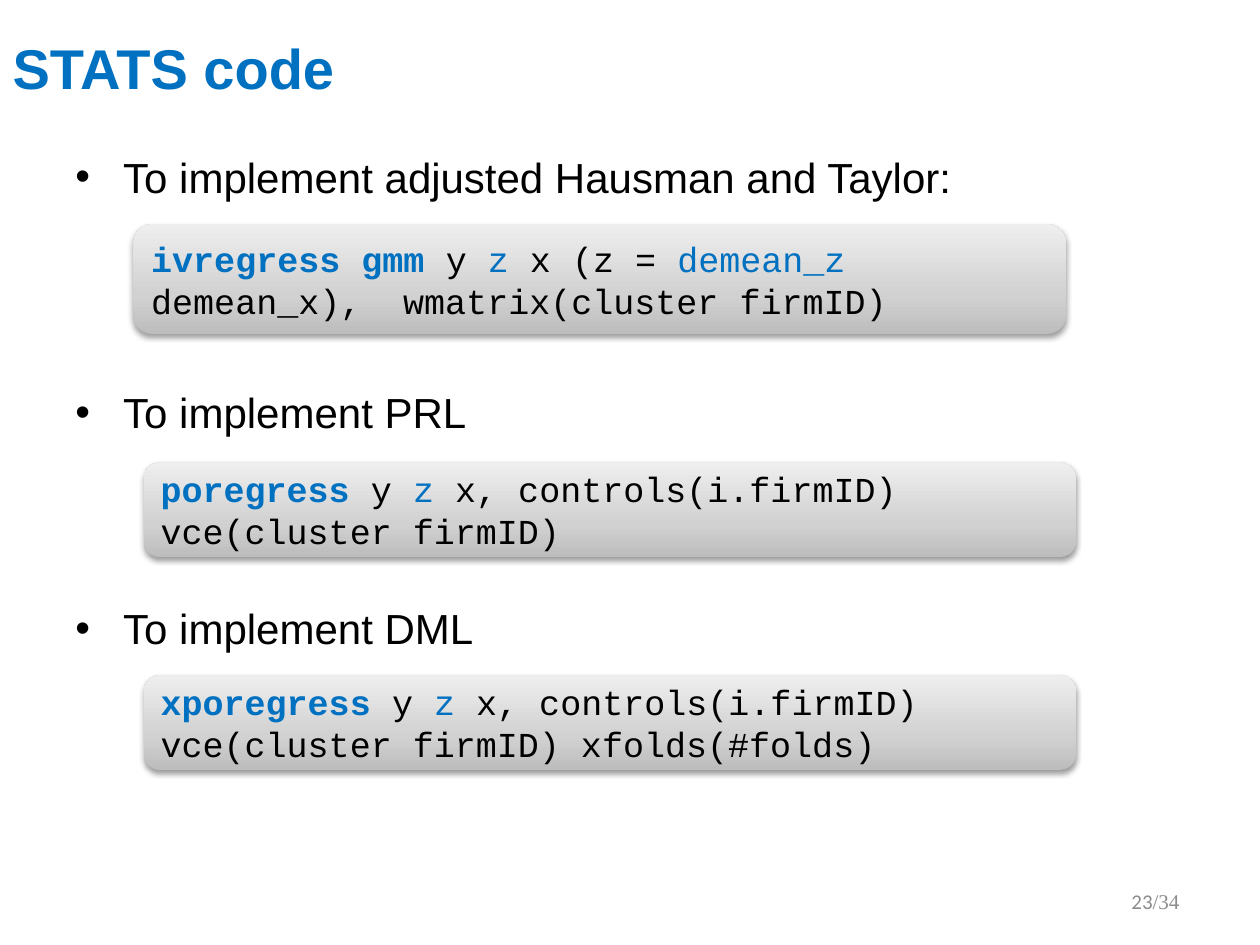
from pptx import Presentation
from pptx.dml.color import RGBColor
from pptx.enum.shapes import MSO_SHAPE
from pptx.enum.text import MSO_ANCHOR, PP_ALIGN
from pptx.oxml import parse_xml
from pptx.oxml.ns import nsdecls
from pptx.util import Inches, Pt

ROUND = MSO_SHAPE.ROUNDED_RECTANGLE
MIDDLE, TOP = MSO_ANCHOR.MIDDLE, MSO_ANCHOR.TOP
LEFT, RIGHT = PP_ALIGN.LEFT, PP_ALIGN.RIGHT

WIDE, HIGH = 10, 7.5
COLS, ROWS = 100, 75
BLUE, BLACK, GREY = "0070C0", "000000", "8C8C8C"
STOPS = (0, "BDBDBD"), (35, "D1D1D1"), (100, "EEEEEE")


def paint(code):
    return RGBColor.from_string(code)


def write(para, text, font="Arial", size=24, color=BLACK, bold=False):
    run = para.add_run()
    run.text = text
    run.font.name = font
    run.font.size = Pt(size)
    run.font.color.rgb = paint(color)
    run.font.bold = bold


def place(shape, col, row, cols, rows):
    shape.left, shape.width = (Inches(n * WIDE / COLS) for n in (col, cols))
    shape.top, shape.height = (Inches(n * HIGH / ROWS) for n in (row, rows))


def shade(shape):
    """Give a shape the grey upward gradient and a soft shadow below."""
    stops = "".join(
        f'<a:gs pos="{pos * 1000}"><a:srgbClr val="{code}"/></a:gs>'
        for pos, code in STOPS)
    props = shape.fill._xPr
    shape.line.fill.background()
    props.insert(2, parse_xml(
        f'<a:gradFill {nsdecls("a")} rotWithShape="1"><a:gsLst>{stops}</a:gsLst>'
        '<a:lin ang="16200000" scaled="0"/></a:gradFill>'))
    props.append(parse_xml(
        f'<a:effectLst {nsdecls("a")}><a:outerShdw blurRad="40000" dist="20000" '
        'dir="5400000" rotWithShape="0"><a:srgbClr val="000000">'
        '<a:alpha val="38000"/></a:srgbClr></a:outerShdw></a:effectLst>'))


class Deck:
    """Holds the style and the current slide."""

    def __init__(self):
        self.file = Presentation()
        self.file.slide_width = Inches(WIDE)
        self.file.slide_height = Inches(HIGH)
        self.slide = self.file.slides.add_slide(self.file.slide_layouts[5])

    def title(self, text, *area):
        shape = self.slide.shapes.title
        place(shape, *area)
        shape.text_frame.vertical_anchor = MIDDLE
        para = shape.text_frame.paragraphs[0]
        para.alignment = LEFT
        write(para, text, size=32, color=BLUE, bold=True)

    def box(self, *area, anchor=TOP):
        shape = self.slide.shapes.add_textbox(0, 0, 0, 0)
        place(shape, *area)
        frame = shape.text_frame
        frame.word_wrap = True
        frame.vertical_anchor = anchor
        return frame

    def points(self, items, *area):
        """Add bullets, each with its space before in points."""
        frame = self.box(*area)
        for i, (text, gap) in enumerate(items):
            para = frame.add_paragraph() if i else frame.paragraphs[0]
            para.space_before = Pt(gap)
            props = para._p.get_or_add_pPr()
            props.set("marL", str(Inches(0.38)))
            props.set("indent", str(Inches(-0.38)))
            props.append(parse_xml(
                f'<a:buFont {nsdecls("a")} typeface="Arial"/>'))
            props.append(parse_xml(f'<a:buChar {nsdecls("a")} char="•"/>'))
            write(para, text)

    def code(self, parts, *area):
        """Add a code panel; the first part is bold, and blue takes turns."""
        shape = self.slide.shapes.add_shape(ROUND, 0, 0, 0, 0)
        place(shape, *area)
        shade(shape)
        frame = shape.text_frame
        frame.word_wrap = True
        frame.vertical_anchor = MIDDLE
        para = frame.paragraphs[0]
        para.alignment = LEFT
        for i, text in enumerate(parts):
            write(para, text, font="Courier New", size=20,
                  color=BLACK if i % 2 else BLUE, bold=i == 0)

    def number(self, page, total, *area):
        para = self.box(*area, anchor=MIDDLE).paragraphs[0]
        para.alignment = RIGHT
        write(para, page, font="Calibri", size=12, color=GREY)
        write(para, total, font="Times New Roman", size=12, color=GREY)


def main():
    deck = Deck()
    deck.title("STATS code", 0, 0, 90, 10.7)
    deck.points([
        ("To implement adjusted Hausman and Taylor:", 2.4),
        ("To implement PRL", 105.7),
        ("To implement DML", 94.6),
    ], 5, 11.5, 90, 53.5)
    deck.number("23", "/34", 71.3, 69.5, 23.3, 4)
    deck.code(["ivregress gmm", " y ", "z", " x (z = ", "demean_z ",
               "demean_x), \twmatrix(cluster firmID)"],
              10.6, 17.8, 74, 8.7)
    call = " x, controls(i.firmID) vce(cluster firmID)"
    for name, row, tail in (("poregress", 36.7, ""),
                            ("xporegress", 53.6, " xfolds(#folds)")):
        deck.code([name, " y ", "z", call + tail], 11.4, row, 74, 7.5)
    deck.file.save("out.pptx")


if __name__ == "__main__":
    main()
